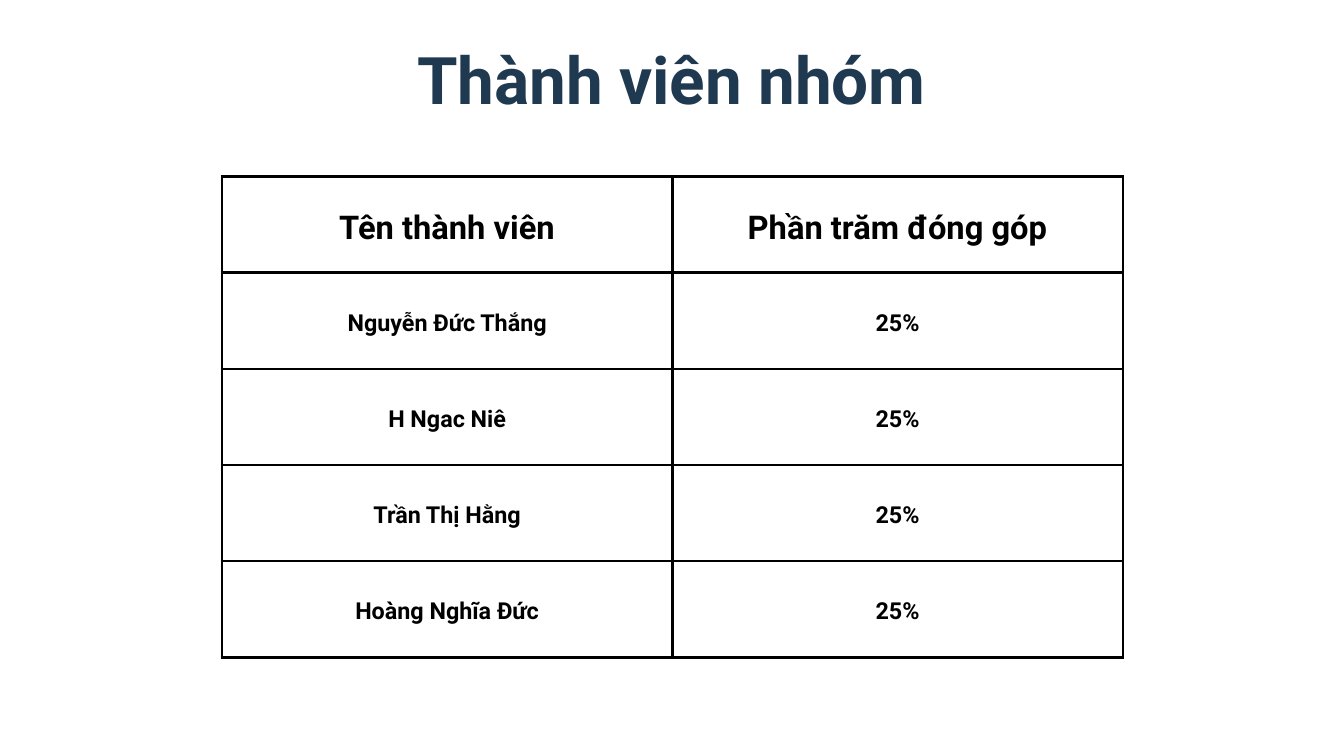
from lxml import etree
from pptx import Presentation
from pptx import util as u
from pptx.dml.color import RGBColor
from pptx.enum import text
from pptx.oxml import ns

SCALE = 9525  # EMU in one px
FONT = "Roboto"
NAVY = RGBColor(0x1E, 0x39, 0x50)
BLACK = RGBColor(0, 0, 0)
WHITE = RGBColor(255, 255, 255)

ROWS = [
    ("Tên thành viên", "Phần trăm đóng góp"),
    ("Nguyễn Đức Thắng", "25%"),
    ("H Ngac Niê", "25%"),
    ("Trần Thị Hằng", "25%"),
    ("Hoàng Nghĩa Đức", "25%"),
]


def px(n):
    return u.Emu(n * SCALE)


def set_margins(target, margin):
    target.margin_left = target.margin_right = margin
    target.margin_top = target.margin_bottom = margin


def write_centred(tf, words, size, spacing, color):
    tf.word_wrap = True
    p = tf.paragraphs[0]
    p.alignment = text.PP_ALIGN.CENTER
    p.line_spacing = u.Pt(spacing)
    r = p.add_run()
    r.text = words
    r.font.name = FONT
    r.font.size = u.Pt(size)
    r.font.bold = True
    r.font.color.rgb = color


def add_title(s, words):
    box = s.shapes.add_textbox(px(551), px(37), px(817), px(127))
    set_margins(box.text_frame, 0)
    write_centred(box.text_frame, words, 70.3, 98.4, NAVY)


def add_borders(cell, width, color):
    tc_pr = cell._tc.get_or_add_tcPr()
    for side in ("lnL", "lnR", "lnT", "lnB"):
        ln = etree.SubElement(tc_pr, ns.qn(f"a:{side}"), w=str(u.Pt(width)))
        fill = etree.SubElement(ln, ns.qn("a:solidFill"))
        etree.SubElement(fill, ns.qn("a:srgbClr"), val=str(color))


def add_member_table(s, rows):
    width, height = px(1287), px(687)
    frame = s.shapes.add_table(len(rows), len(rows[0]), px(317), px(252), width, height)
    table = frame.table
    table.first_row = table.horz_banding = False
    for i, row in enumerate(rows):
        size, spacing = (35, 49) if i == 0 else (25, 35)
        for j, words in enumerate(row):
            cell = table.cell(i, j)
            set_margins(cell, px(20))
            cell.vertical_anchor = text.MSO_ANCHOR.MIDDLE
            add_borders(cell, 3, BLACK)
            cell.fill.background()
            write_centred(cell.text_frame, words, size, spacing, BLACK)


def main():
    prs = Presentation()
    prs.slide_width, prs.slide_height = px(1920), px(1080)
    s = prs.slides.add_slide(prs.slide_layouts[6])
    s.background.fill.solid()
    s.background.fill.fore_color.rgb = WHITE
    add_member_table(s, ROWS)
    add_title(s, "Thành viên nhóm")
    prs.save("out.pptx")


if __name__ == "__main__":
    main()
